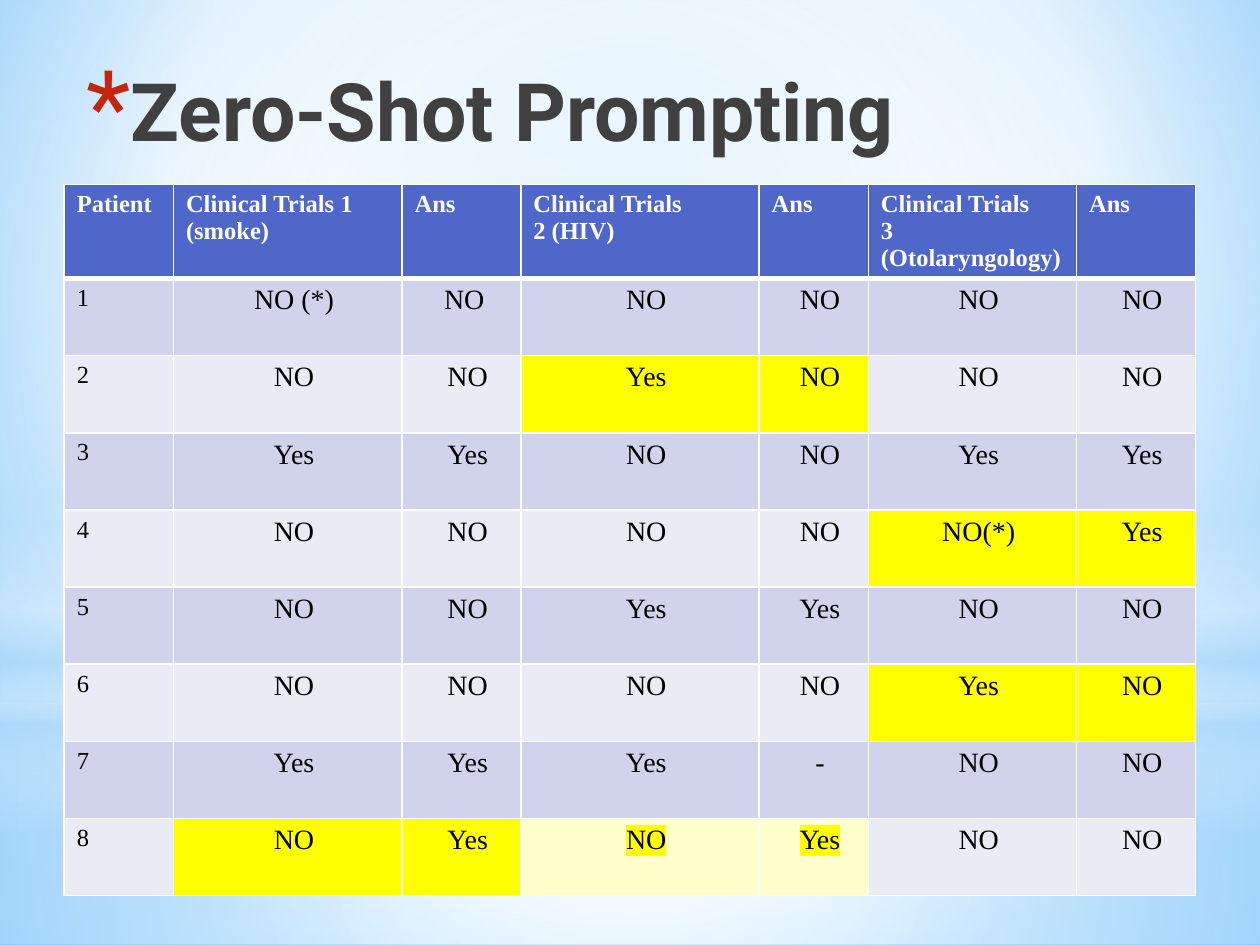
from dataclasses import dataclass

from lxml import etree
from pptx import Presentation
from pptx import util as u
from pptx.dml.color import RGBColor
from pptx.enum import shapes, text
from pptx.oxml import ns


@dataclass(frozen=True)
class Theme:
    head: str = "4E67C8"
    bands: tuple = ("D0D3EB", "E9EBF5")
    mark: str = "FFFF00"
    pale: str = "FFFFCC"
    line: str = "FFFFFF"
    ink: str = "000000"
    title: str = "404040"
    star: str = "C3260C"
    face: str = "Times New Roman"
    big: str = "Roboto"
    huge: int = 46
    small: int = 14
    body: int = 16


def sub(node, tag, **attrs):
    return etree.SubElement(node, ns.qn(tag), {k: str(v) for k, v in attrs.items()})


def blend(owner, stops, angle=None, focus=(50, 50, 50, 50)):
    """Swap the default gradient for these (place, colour, opacity) stops."""
    grad = owner.find(".//" + ns.qn("a:gradFill"))
    for kid in list(grad):
        grad.remove(kid)
    row = sub(grad, "a:gsLst")
    for place, color, alpha in stops:
        stop = sub(row, "a:gs", pos=place * 1000)
        tint = sub(stop, "a:srgbClr", val=color)
        if alpha < 100:
            sub(tint, "a:alpha", val=alpha * 1000)
    if angle is not None:
        sub(grad, "a:lin", ang=angle * 60000, scaled=0)
    else:
        way = sub(grad, "a:path", path="circle")
        sub(way, "a:fillToRect", **{k: v * 1000 for k, v in zip("ltrb", focus)})


class Deck:
    def __init__(self, theme):
        self.theme = theme
        self.prs = Presentation()
        self.prs.slide_width, self.prs.slide_height = u.Pt(720), u.Pt(540)
        self.slide = self.prs.slides.add_slide(self.prs.slide_layouts[5])

    def back(self, stops, focus):
        self.slide.background.fill.gradient()
        blend(self.slide.element, stops, focus=focus)

    def glow(self, kind, top, high, stops, angle=None):
        box = self.slide.shapes.add_shape(kind, 0, u.Pt(top), u.Pt(720), u.Pt(high))
        box.shadow.inherit = False
        box.line.fill.background()
        box.fill.gradient()
        blend(box.element, stops, angle)

    def style(self, par, size, color, bold=False, face=None):
        font = par.font
        font.name, font.size, font.bold = face or self.theme.face, u.Pt(size), bold
        font.color.rgb = RGBColor.from_string(color)

    def title(self, words, left, top, wide, high):
        t, box = self.theme, self.slide.shapes.title
        box.left, box.top, box.width, box.height = map(u.Pt, (left, top, wide, high))
        self.slide.shapes.element.append(box.element)  # above the glows
        frame = box.text_frame
        frame.text = words
        frame.auto_size = text.MSO_AUTO_SIZE.NONE
        frame.vertical_anchor = text.MSO_ANCHOR.TOP
        par = frame.paragraphs[0]
        par.alignment = text.PP_ALIGN.RIGHT
        self.style(par, t.huge, t.title, True, t.big)
        # Hanging star bullet, ahead of the default run properties
        prop = par._p.get_or_add_pPr()
        prop.set("marL", str(u.Pt(25)))
        prop.set("indent", str(u.Pt(-25)))
        last = prop.find(ns.qn("a:defRPr"))
        sub(sub(prop, "a:buClr"), "a:srgbClr", val=t.star)
        sub(prop, "a:buSzPct", val=128000)
        sub(prop, "a:buFont", typeface=t.big)
        sub(prop, "a:buChar", char="*")
        prop.append(last)

    def edges(self, cell, base):
        prop = cell._tc.get_or_add_tcPr()
        for spot, (side, width) in enumerate(zip("LRTB", (1, 1, 1, base))):
            edge = sub(prop, f"a:ln{side}", w=u.Pt(width))
            sub(sub(edge, "a:solidFill"), "a:srgbClr", val=self.theme.line)
            prop.insert(spot, edge)

    def light(self, run):
        prop = run._r.get_or_add_rPr()
        sub(sub(prop, "a:highlight"), "a:srgbClr", val=self.theme.mark)

    def cell(self, cell, words, row, col, fill, lit):
        t = self.theme
        cell.text = words
        cell.fill.solid()
        cell.fill.fore_color.rgb = RGBColor.from_string(fill)
        self.edges(cell, 1 if row else 3)
        for par in cell.text_frame.paragraphs:
            if row == 0:
                self.style(par, t.small, t.line, True)
            elif col == 0:
                self.style(par, t.small, t.ink)
            else:
                self.style(par, t.body, t.ink)
                par.alignment = text.PP_ALIGN.CENTER
                par._p.get_or_add_pPr().set("marL", str(u.Pt(7.2)))
            if lit:
                self.light(par.runs[0])

    def table(self, data, left, top, cols, rows, marks):
        t = self.theme
        grid = self.slide.shapes.add_table(
            len(rows), len(cols), u.Pt(left), u.Pt(top),
            u.Pt(sum(cols)), u.Pt(sum(rows))).table
        for item, wide in zip(grid.columns, cols):
            item.width = u.Pt(wide)
        for item, high in zip(grid.rows, rows):
            item.height = u.Pt(high)
        for row, line in enumerate(data):
            base = t.bands[(row - 1) % 2] if row else t.head
            for col, words in enumerate(line):
                fill = marks.get((row, col))
                self.cell(grid.cell(row, col), words, row, col, fill or base, bool(fill))


def main():
    theme = Theme()
    deck = Deck(theme)
    white, sky = "FFFFFF", "B4DCFA"
    rect, oval = shapes.MSO_SHAPE.RECTANGLE, shapes.MSO_SHAPE.OVAL

    # Sky backdrop
    deck.back([(0, "9ED5FF", 100), (60, white, 100), (100, "5BB9FF", 100)],
              (20, 10, 20, 60))
    deck.glow(rect, 402, 138, [(0, white, 91), (37, white, 76), (100, sky, 79)])
    deck.glow(rect, 0, 402, [(0, white, 89), (48, white, 62), (100, sky, 79)])
    deck.glow(rect, 297, 180, [(0, white, 0), (29, white, 30), (45, sky, 40),
                               (55, white, 26), (65, sky, 60), (100, white, 0)], 90)
    deck.glow(oval, 126, 402, [(0, white, 100), (56, white, 0)])

    # Heading
    deck.title("Zero-Shot Prompting", 25, 31.5, 493, 45)

    # Answers by patient; marked pairs are (row, first column)
    head = ["Patient", "Clinical Trials 1 (smoke)", "Ans", "Clinical Trials\n2 (HIV)",
            "Ans", "Clinical Trials\n3 (Otolaryngology)", "Ans"]
    body = [
        ["NO (*)", "NO ", "NO", "NO", "NO", "NO"],
        ["NO", "NO", "Yes", "NO", "NO", "NO"],
        ["Yes", "Yes", "NO", "NO", "Yes", "Yes"],
        ["NO", "NO", "NO", "NO", "NO(*)", "Yes"],
        ["NO", "NO", "Yes", "Yes", "NO", "NO"],
        ["NO", "NO", "NO", "NO", "Yes", "NO"],
        ["Yes", "Yes", "Yes", "-", "NO", "NO"],
        ["NO", "Yes", "NO", "Yes", "NO", "NO"],
    ]
    data = [head] + [[str(n), *line] for n, line in enumerate(body, 1)]
    pairs = {(2, 3): theme.mark, (4, 5): theme.mark, (6, 5): theme.mark,
             (8, 1): theme.mark, (8, 3): theme.pale}
    marks = {(row, col + step): fill
             for (row, col), fill in pairs.items() for step in (0, 1)}
    deck.table(data, 36.7, 105.5, [62.4, 130.6, 67.9, 136.2, 62.4, 119, 67.9],
               [45.4] + [44.1] * len(body), marks)

    deck.prs.save("out.pptx")


if __name__ == "__main__":
    main()
